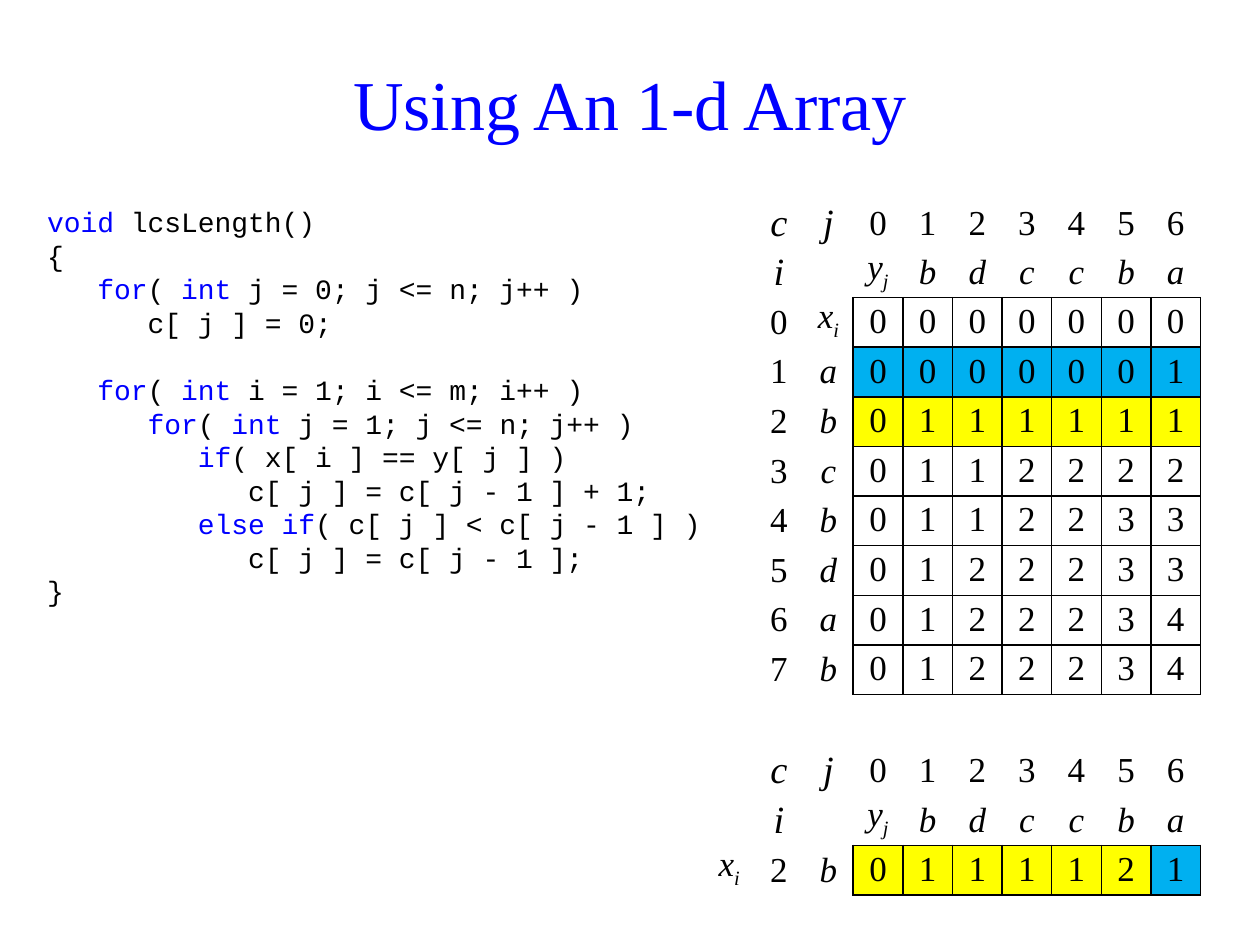
from lxml.etree import SubElement
from pptx import Presentation
from pptx.dml.color import RGBColor
from pptx.enum.text import MSO_ANCHOR as Anchor, PP_ALIGN as Align
from pptx.oxml.ns import qn
from pptx.util import Cm, Pt

hex_color = RGBColor.from_string
BLUE, BLACK, WHITE = "0000FF", "000000", "FFFFFF"
PREVIOUS, CURRENT = "00B0F0", "FFFF00"
SERIF, MONO = "Times New Roman", "Courier New"


def write(paragraph, text, size=20, font=SERIF, color=BLACK, italic=False, baseline=0):
    run = paragraph.add_run()
    run.text = text
    run.font.size = Pt(size)
    run.font.name = font
    run.font.color.rgb = hex_color(color)
    run.font.italic = italic
    if baseline:
        run._r.get_or_add_rPr().set("baseline", str(baseline))


def add_border(cell, side, visible):
    line = SubElement(cell._tc.get_or_add_tcPr(), qn(f"a:ln{side}"), w=str(Pt(1)))
    if visible:
        paint = SubElement(line, qn("a:solidFill"))
        SubElement(paint, qn("a:srgbClr"), val=BLACK)
    else:
        SubElement(line, qn("a:noFill"))


prs = Presentation()
prs.slide_width, prs.slide_height = Cm(25.4), Cm(19.05)
slide = prs.slides.add_slide(prs.slide_layouts[6])

title = slide.shapes.add_textbox(Cm(0.7), Cm(0.53), Cm(24), Cm(2.5)).text_frame
title.word_wrap = True
title.vertical_anchor = Anchor.BOTTOM
title.paragraphs[0].alignment = Align.CENTER
write(title.paragraphs[0], "Using An 1-d Array", size=40, color=BLUE)

code = """*void* lcsLength()
{
   *for*( *int* j = 0; j <= n; j++ )
      c[ j ] = 0;

   *for*( *int* i = 1; i <= m; i++ )
      *for*( *int* j = 1; j <= n; j++ )
         *if*( x[ i ] == y[ j ] )
            c[ j ] = c[ j - 1 ] + 1;
         *else if*( c[ j ] < c[ j - 1 ] )
            c[ j ] = c[ j - 1 ];
}"""
listing = slide.shapes.add_textbox(Cm(0.7), Cm(4), Cm(14), Cm(8.5)).text_frame
listing.word_wrap = True
listing.margin_right = Cm(0.1)
line_height = Pt(19.2)
paragraph, gap = listing.paragraphs[0], 0
for number, code_line in enumerate(code.split("\n")):
    if not code_line:
        gap = line_height
        continue
    if number:
        paragraph = listing.add_paragraph()
    paragraph.line_spacing = line_height
    paragraph.space_before, gap = gap, 0
    for position, part in enumerate(code_line.split("*")):
        if part:
            write(paragraph, part, size=16, font=MONO, color=BLUE if position % 2 else BLACK)

full_rows = [
    "c,j,0,1,2,3,4,5,6",
    "i,,y_j,b,d,c,c,b,a",
    "0,x_i,0,0,0,0,0,0,0",
    "1,a,0,0,0,0,0,0,1",
    "2,b,0,1,1,1,1,1,1",
    "3,c,0,1,1,2,2,2,2",
    "4,b,0,1,1,2,2,3,3",
    "5,d,0,1,2,2,2,3,3",
    "6,a,0,1,2,2,2,3,4",
    "7,b,0,1,2,2,2,3,4",
]
single_rows = ["," + full_rows[0], "," + full_rows[1], "x_i,2,b,0,1,1,1,1,2,1"]
full_fills = {3: [PREVIOUS] * 7, 4: [CURRENT] * 7}
single_fills = {2: [CURRENT] * 6 + [PREVIOUS]}
sides = {"L": (0, -1), "R": (0, 1), "T": (-1, 0), "B": (1, 0)}

for left, top, rows, fills in (
    (15.2, 4, full_rows, full_fills),
    (14.2, 15.04, single_rows, single_fills),
):
    grid = [row.split(",") for row in rows]
    height, width = len(grid), len(grid[0])
    first_value = width - 7
    framed = {(r, c) for r in range(2, height) for c in range(first_value, width)}
    table = slide.shapes.add_table(
        height, width, Cm(left), Cm(top), Cm(width), Cm(height)
    ).table
    table.first_row = table.horz_banding = False
    for r, row in enumerate(grid):
        for c, label in enumerate(row):
            cell = table.cell(r, c)
            for side, (down, right) in sides.items():
                add_border(cell, side, framed & {(r, c), (r + down, c + right)})
            cell.fill.solid()
            cell.fill.fore_color.rgb = hex_color(WHITE)
            if (r, c) in framed and r in fills:
                cell.fill.fore_color.rgb = hex_color(fills[r][c - first_value])
            cell.margin_top = cell.margin_bottom = 0
            cell.vertical_anchor = Anchor.TOP if "_" in label else Anchor.MIDDLE
            paragraph = cell.text_frame.paragraphs[0]
            paragraph.alignment = Align.CENTER
            if (r, c) in framed:
                paragraph.line_spacing = 0.95
            symbol, _, index = label.partition("_")
            if symbol:
                size = 22 if r < 2 and c < first_value else 20
                write(paragraph, symbol, size=size, italic=symbol.isalpha())
            if index:
                write(paragraph, index, italic=True, baseline=-25000)

prs.save("out.pptx")
